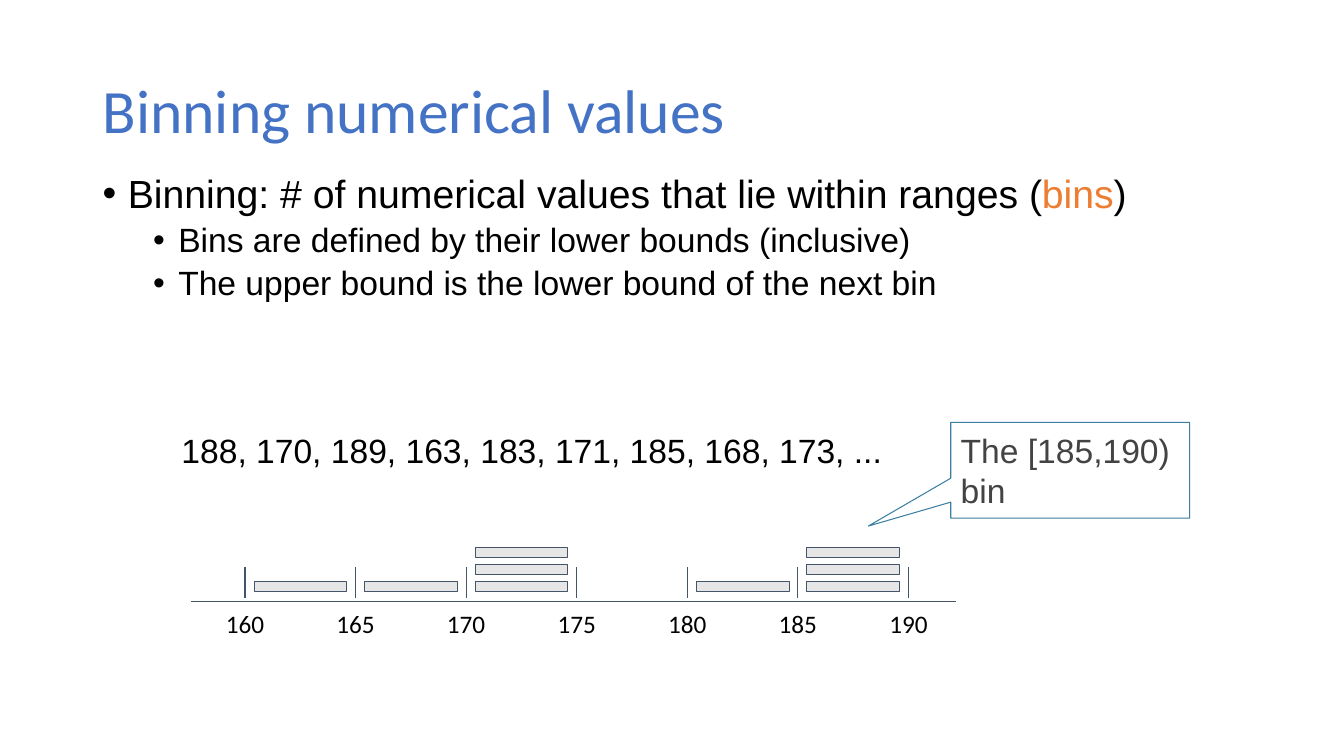
"""Builds a slide that explains how numerical values are binned."""
from collections import Counter
from dataclasses import dataclass

from lxml import etree
from pptx import Presentation
from pptx.dml.color import RGBColor
from pptx.enum import shapes, text
from pptx.oxml.ns import qn
from pptx.util import Inches, Pt


@dataclass(frozen=True)
class Theme:
    head: str = "Calibri"
    body: str = "Arial"
    blue: str = "4472C4"
    orange: str = "ED7D31"
    black: str = "000000"
    gray: str = "434343"
    axis: str = "44546A"
    block: str = "E7E6E6"
    white: str = "FFFFFF"
    edge: str = "3B7EA1"
    title: int = 44
    lead: int = 28
    text: int = 24
    label: int = 18
    line: float = 0.75


T = Theme()
VALUES = [188, 170, 189, 163, 183, 171, 185, 168, 173]
LOWS = range(160, 191, 5)
WIDTH = 5
LEFT, RIGHT = 2.43, 9.01
STEP = (RIGHT - LEFT) / (len(LOWS) - 1)


def rgb(color):
    return RGBColor.from_string(color)


def write(frame, runs, size=T.text, font=T.body, color=T.black, align="LEFT",
          anchor="TOP", inset=(0.1, 0.1), spacing=None, before=0, level=0,
          bullet=False, more=False):
    frame.word_wrap = True
    frame.vertical_anchor = getattr(text.MSO_ANCHOR, anchor)
    frame.margin_left = frame.margin_right = Inches(inset[0])
    frame.margin_top = frame.margin_bottom = Inches(inset[1])
    para = frame.add_paragraph() if more else frame.paragraphs[0]
    para.alignment = getattr(text.PP_ALIGN, align)
    para.level = level
    para.space_before = Pt(before)
    if spacing:
        para.line_spacing = spacing
    if bullet:
        props = para._p.get_or_add_pPr()
        props.set("marL", str(Inches(0.25 + 0.5 * level)))
        props.set("indent", str(Inches(-0.25)))
        etree.SubElement(props, qn("a:buFont")).set("typeface", T.body)
        etree.SubElement(props, qn("a:buChar")).set("char", "•")
    for words, tint in [(runs, color)] if isinstance(runs, str) else runs:
        run = para.add_run()
        run.text = words
        run.font.name, run.font.size = font, Pt(size)
        run.font.color.rgb = rgb(tint)


def add_box(slide, left, top, width, height):
    area = map(Inches, (left, top, width, height))
    return slide.shapes.add_textbox(*area).text_frame


def add_line(slide, *ends):
    line = slide.shapes.add_connector(
        shapes.MSO_CONNECTOR.STRAIGHT, *map(Inches, ends))
    line.line.color.rgb, line.line.width = rgb(T.axis), Pt(T.line)
    etree.SubElement(line._element.spPr, qn("a:effectLst"))


def add_form(slide, kind, area, fill, edge):
    form = slide.shapes.add_shape(kind, *map(Inches, area))
    form.shadow.inherit = False
    form.fill.solid()
    form.fill.fore_color.rgb = rgb(fill)
    form.line.color.rgb, form.line.width = rgb(edge), Pt(T.line)
    return form


def add_axis(slide):
    add_line(slide, 1.89, 5.97, 9.48, 5.97)
    for i, low in enumerate(LOWS):
        x = LEFT + i * STEP
        add_line(slide, x, 5.93, x, 5.63)
        label = add_box(slide, x - 0.42, 5.93, 0.84, 0.58)
        write(label, str(low), size=T.label, font=T.head, align="CENTER")


def add_stacks(slide):
    counts = Counter((value - LOWS[0]) // WIDTH for value in VALUES)
    for i, count in counts.items():
        for row in range(count):
            area = LEFT + i * STEP + 0.09, 5.77 - row * 0.17, 0.92, 0.1
            add_form(slide, shapes.MSO_SHAPE.RECTANGLE, area, T.block, T.axis)


def add_callout(slide, words):
    form = add_form(slide, shapes.MSO_SHAPE.ROUNDED_RECTANGULAR_CALLOUT,
                    (9.43, 4.19, 2.37, 0.95), T.white, T.edge)
    for i, value in enumerate((-0.845, 0.583, 0)):
        form.adjustments[i] = value
    write(form.text_frame, words, color=T.gray, anchor="MIDDLE")


def main():
    deck = Presentation()
    deck.slide_width, deck.slide_height = Inches(13.33), Inches(7.5)
    slide = deck.slides.add_slide(deck.slide_layouts[6])

    title = add_box(slide, 0.92, 0.4, 11.5, 1.45)
    write(title, "Binning numerical values", size=T.title, font=T.head,
          color=T.blue, anchor="MIDDLE", inset=(0.1, 0.05), spacing=0.9)

    body = add_box(slide, 0.92, 1.68, 11.5, 4.76)
    style = dict(inset=(0.1, 0.05), spacing=0.9, bullet=True)
    lead = [("Binning: # of numerical values that lie within ranges (", T.black),
            ("bins", T.orange), (")", T.black)]
    write(body, lead, size=T.lead, before=10, **style)
    for words in ("Bins are defined by their lower bounds (inclusive)",
                  "The upper bound is the lower bound of the next bin"):
        write(body, words, before=5, level=1, more=True, **style)

    series = add_box(slide, 1.62, 4.16, 7.31, 0.58)
    write(series, ", ".join(map(str, VALUES)) + ", ...", align="CENTER")
    add_axis(slide)
    add_stacks(slide)
    add_callout(slide, "The [185,190) bin")
    deck.save("out.pptx")


main()
